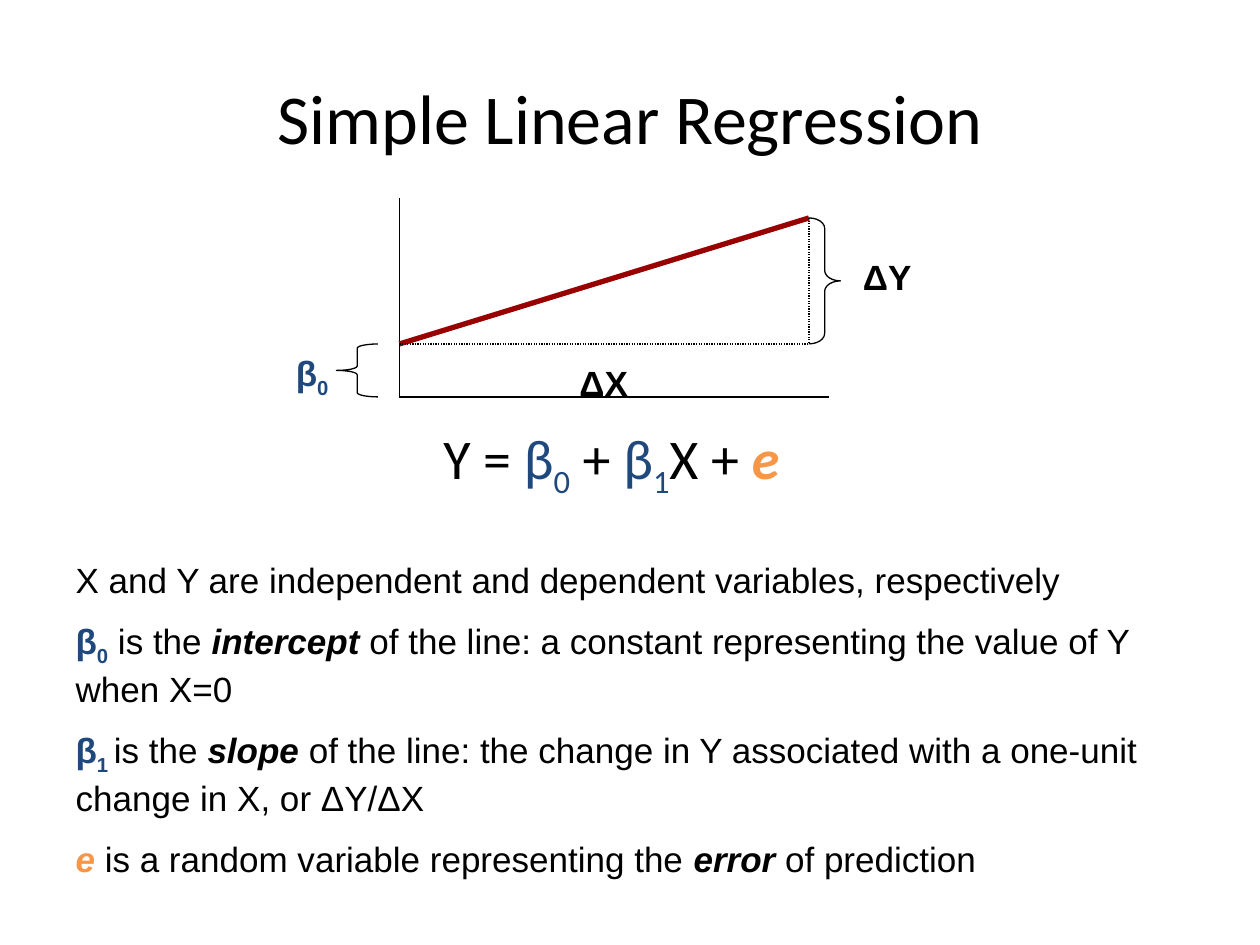
from lxml import etree
from pptx import Presentation
from pptx.dml.color import RGBColor
from pptx.enum.dml import MSO_LINE
from pptx.enum.shapes import MSO_CONNECTOR, MSO_SHAPE
from pptx.enum.text import MSO_ANCHOR, MSO_AUTO_SIZE, PP_ALIGN
from pptx.oxml.ns import qn
from pptx.util import Inches, Pt

STRAIGHT = MSO_CONNECTOR.STRAIGHT
LEFT_BRACE, RIGHT_BRACE = MSO_SHAPE.LEFT_BRACE, MSO_SHAPE.RIGHT_BRACE
DOTTED = MSO_LINE.ROUND_DOT
GROW, NO_FIT = MSO_AUTO_SIZE.SHAPE_TO_FIT_TEXT, MSO_AUTO_SIZE.NONE
TOP, MIDDLE = MSO_ANCHOR.TOP, MSO_ANCHOR.MIDDLE
LEFT, CENTER = PP_ALIGN.LEFT, PP_ALIGN.CENTER

THEME = {
    "ink": "000000", "coefficient": "1F497D", "error": "F79646", "regression": "990000",
    "heading_font": "Calibri", "text_font": "Arial",
    "title_size": 40, "equation_size": 32, "text_size": 20,
    "paragraph_gap": 11, "thin": 0.75, "thick": 3,
}
STYLES = {
    "plain": {},
    "bold": {"bold": True},
    "term": {"bold": True, "italic": True},
    "beta": {"color": "coefficient", "bold": True},
    "beta_sub": {"color": "coefficient", "bold": True, "subscript": True},
    "light_beta": {"color": "coefficient"},
    "light_sub": {"color": "coefficient", "subscript": True},
    "error": {"color": "error", "bold": True, "italic": True},
}

TITLE = [[("Simple Linear Regression", "plain")]]
EQUATION = [[
    ("Y = ", "plain"), ("β", "light_beta"), ("0", "light_sub"), (" + ", "plain"),
    ("β", "light_beta"), ("1", "light_sub"), ("X + ", "plain"), ("e", "error"),
]]
DEFINITIONS = [
    [("X and Y are independent and dependent variables, respectively", "plain")],
    [("β", "beta"), ("0", "beta_sub"), (" is the ", "plain"), ("intercept", "term"),
     (" of the line: a constant representing the value of Y when X=0", "plain")],
    [("β", "beta"), ("1 ", "beta_sub"), ("is the ", "plain"), ("slope", "term"),
     (" of the line: the change in Y associated with a one-unit change in X, or ΔY/ΔX", "plain")],
    [("e", "error"), (" is a random variable representing the ", "plain"),
     ("error", "term"), (" of prediction", "plain")],
]
LABELS = [
    ([[("β", "beta"), ("0", "beta_sub")]], (2.25, 2.74, 0.5, 0.44)),
    ([[("ΔY", "bold")]], (6.75, 1.98, 0.67, 0.43)),
    ([[("ΔX", "bold")]], (4.5, 2.82, 0.83, 0.43)),
]

AXIS_X, AXIS_TOP, AXIS_Y, AXIS_RIGHT = 3.17, 1.57, 3.15, 6.58
INTERCEPT_Y, LINE_END_X, LINE_END_Y = 2.73, 6.42, 1.73
START, END = (AXIS_X, INTERCEPT_Y), (LINE_END_X, LINE_END_Y)
ORIGIN, CORNER = (AXIS_X, AXIS_Y), (LINE_END_X, INTERCEPT_Y)
LINES = [
    ((AXIS_X, AXIS_TOP), ORIGIN, "ink", "thin", None),
    (ORIGIN, (AXIS_RIGHT, AXIS_Y), "ink", "thin", None),
    (START, END, "regression", "thick", None),
    (START, CORNER, "ink", "thin", DOTTED),
    (END, CORNER, "ink", "thin", DOTTED),
]
BRACES = [
    (LEFT_BRACE, (2.67, INTERCEPT_Y, 0.33, AXIS_Y - INTERCEPT_Y), 0.104),
    (RIGHT_BRACE, (LINE_END_X, LINE_END_Y, 0.25, INTERCEPT_Y - LINE_END_Y), 0.333),
]


def color(name):
    return RGBColor.from_string(THEME[name])


def place(shape, box):
    shape.left, shape.top, shape.width, shape.height = map(Inches, box)
    return shape


def write(shape, paragraphs, font="text_font", size="text_size", align=LEFT,
          anchor=TOP, fit=GROW):
    frame = shape.text_frame
    frame.word_wrap = True
    frame.auto_size = fit
    frame.vertical_anchor = anchor
    for index, pieces in enumerate(paragraphs):
        paragraph = frame.add_paragraph() if index else frame.paragraphs[0]
        paragraph.alignment = align
        paragraph.space_before = Pt(THEME["paragraph_gap"] if index else 0)
        properties = paragraph._p.get_or_add_pPr()
        properties.set("marL", "0")
        properties.set("indent", "0")
        etree.SubElement(properties, qn("a:buNone"))
        for text, style_name in pieces:
            style = STYLES[style_name]
            run = paragraph.add_run()
            run.text = text
            run.font.name = THEME[font]
            run.font.size = Pt(THEME[size])
            run.font.color.rgb = color(style.get("color", "ink"))
            run.font.bold = style.get("bold", False)
            run.font.italic = style.get("italic", False)
            if style.get("subscript"):
                run._r.get_or_add_rPr().set("baseline", "-25000")


def draw_line(shapes, start, end, color_name, weight, dash):
    line = shapes.add_connector(STRAIGHT, *map(Inches, start + end))
    line.line.color.rgb = color(color_name)
    line.line.width = Pt(THEME[weight])
    if dash:
        line.line.dash_style = dash
    etree.SubElement(line._element.spPr, qn("a:effectLst"))


def draw_brace(shapes, kind, box, curve):
    brace = shapes.add_shape(kind, *map(Inches, box))
    brace.adjustments[0] = curve
    brace.shadow.inherit = False
    brace.fill.background()
    brace.line.color.rgb = color("ink")
    brace.line.width = Pt(THEME["thin"])


def main():
    deck = Presentation()
    deck.slide_width, deck.slide_height = Inches(10), Inches(7.5)
    slide = deck.slides.add_slide(deck.slide_layouts[1])
    title, definitions = slide.placeholders
    write(place(title, (0.5, 0.3, 9, 1.25)), TITLE, font="heading_font",
          size="title_size", align=CENTER, anchor=MIDDLE, fit=NO_FIT)
    write(place(definitions, (0.5, 4.38, 9, 1.48)), DEFINITIONS)

    graph = slide.shapes.add_group_shape().shapes
    for line in LINES:
        draw_line(graph, *line)
    for brace in BRACES:
        draw_brace(graph, *brace)
    for label, box in LABELS:
        write(graph.add_textbox(*map(Inches, box)), label)

    equation = slide.shapes.add_textbox(*map(Inches, (3.42, 3.31, 3.17, 0.64)))
    write(equation, EQUATION, font="heading_font", size="equation_size")
    deck.save("out.pptx")


if __name__ == "__main__":
    main()
